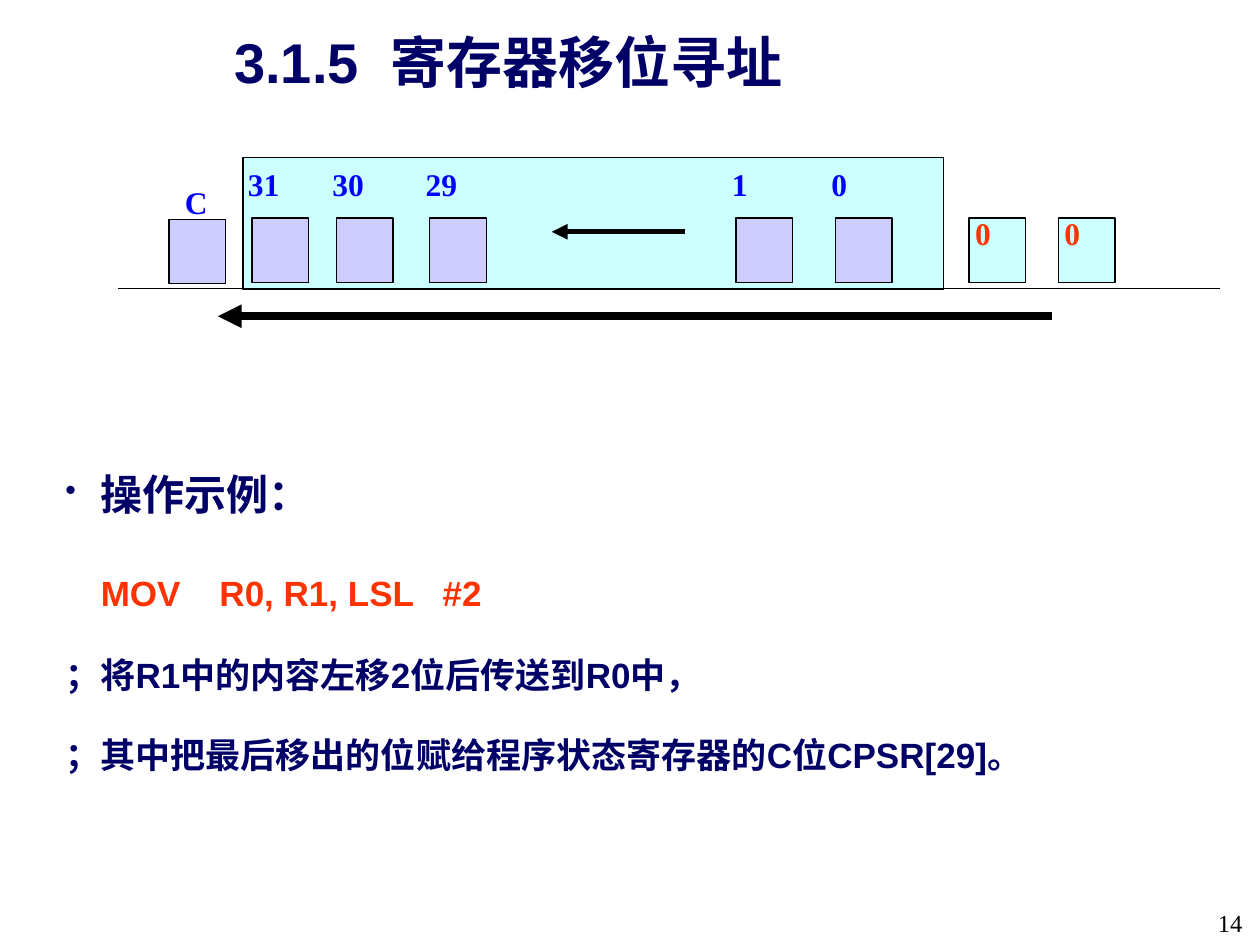
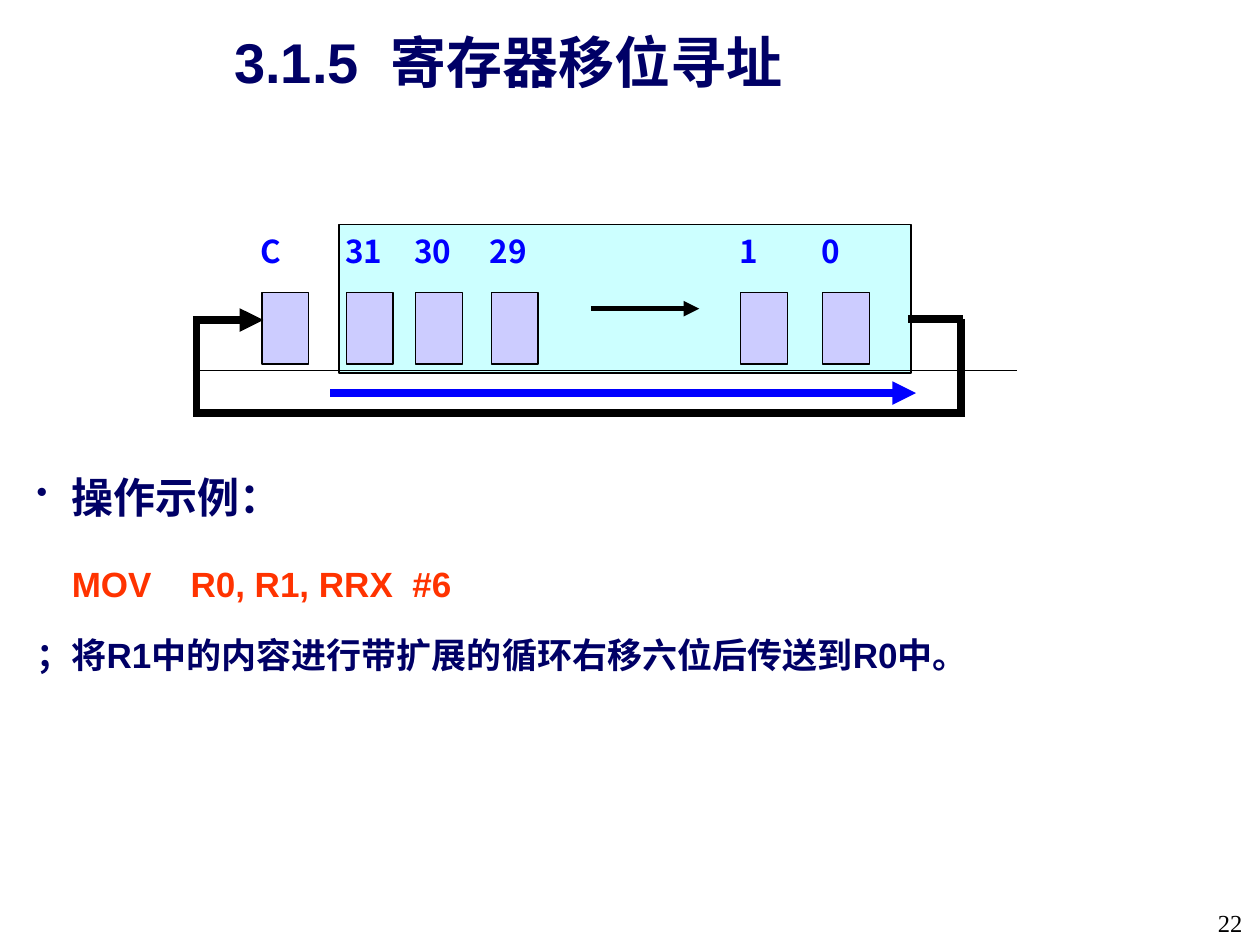
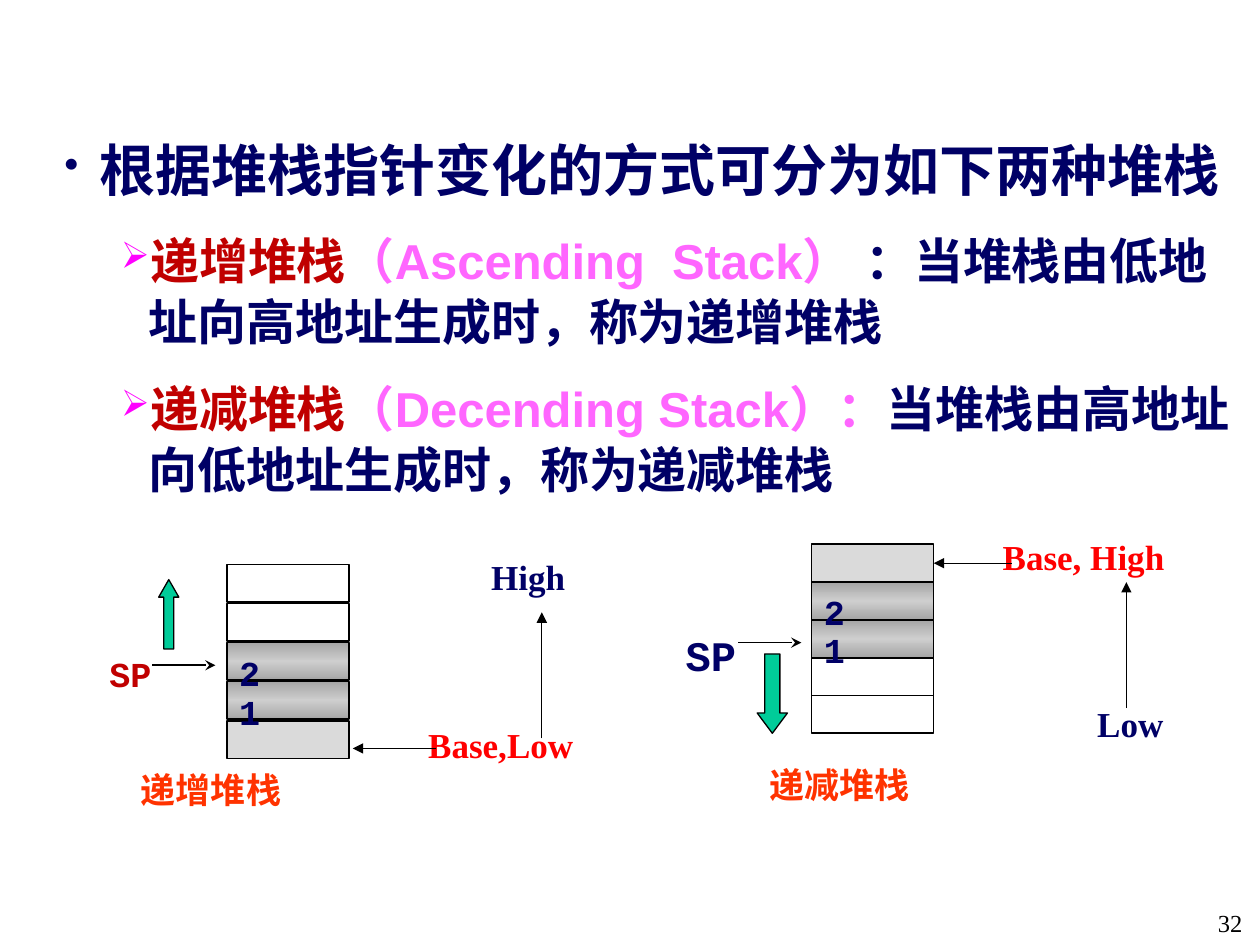
"""Build three slides on shifted-register addressing and stack growth."""
from copy import deepcopy
from dataclasses import dataclass

from lxml import etree
from pptx import Presentation
from pptx import util as u
from pptx.dml.color import RGBColor
from pptx.enum import shapes, text
from pptx.oxml.ns import qn


@dataclass(frozen=True)
class Theme:
    navy: str = "000066"
    blue: str = "0000FF"
    orange: str = "FF3300"
    red: str = "FF0000"
    dark_red: str = "C00000"
    pink: str = "FF66FF"
    magenta: str = "FF00FF"
    black: str = "000000"
    number: str = "010000"
    cyan: str = "CCFFFF"
    lilac: str = "CCCCFF"
    green: str = "00CC99"
    gray: str = "DADADA"
    metal: tuple = ("A5A5A5", "CECECE", "A5A5A5")
    sans: str = "Arial"
    serif: str = "Times New Roman"
    mono: str = "Courier New"
    cjk: str = "Noto Sans CJK SC"
    title: int = 32
    sub: int = 28
    head: int = 24
    body: int = 20
    bit: int = 18
    footer: int = 14
    thin: float = 0.75
    cell: float = 1
    medium: float = 3
    thick: float = 4.5


T = Theme()
TITLE = "3.1.5  寄存器移位寻址"
RECT = shapes.MSO_SHAPE.RECTANGLE
RIGHT = text.PP_ALIGN.RIGHT


def add_run(p, content, *, font=T.sans, size=T.body, color=T.navy, bold=True):
    r = p.add_run()
    r.text = content
    r.font.name, r.font.size, r.font.bold = font, u.Pt(size), bold
    r.font.color.rgb = RGBColor.from_string(color)
    etree.SubElement(r.font._element, qn("a:ea"), typeface=font)


def add_bullet(p, char, color=None):
    pPr = p._p.get_or_add_pPr()
    if color:
        clr = etree.SubElement(pPr, qn("a:buClr"))
        etree.SubElement(clr, qn("a:srgbClr"), val=color)
    etree.SubElement(pPr, qn("a:buSzPct"), val="75000")
    etree.SubElement(pPr, qn("a:buChar"), char=char)


class Deck:
    def __init__(self):
        self.prs = Presentation()
        self.prs.slide_width, self.prs.slide_height = u.Inches(10), u.Inches(7.5)
        self.s = None

    def slide(self, number, title=None):
        self.s = self.prs.slides.add_slide(self.prs.slide_layouts[5 if title else 6])
        if title:
            sp = self.s.shapes.title
            sp.left, sp.top, sp.width, sp.height = map(u.Inches, (0.12, 0.21, 7.83, 0.92))
            tf = self.frame(sp, 0.09)
            p = tf.paragraphs[0]
            p.alignment, p.line_spacing = text.PP_ALIGN.CENTER, 0.95
            add_run(p, title, size=T.title)
        self.label(str(number), 9.2, 7.16, 0.76, 0.34, align=RIGHT,
                   font=T.serif, size=T.footer, color=T.number, bold=False)

    def frame(self, sp, side):
        tf = sp.text_frame
        tf.word_wrap, tf.auto_size = True, text.MSO_AUTO_SIZE.NONE
        tf.vertical_anchor = text.MSO_ANCHOR.TOP
        tf.margin_left = tf.margin_right = u.Inches(side)
        tf.margin_top = tf.margin_bottom = u.Inches(0.05)
        return tf

    def box(self, x, y, w, h, side=0.1):
        return self.frame(self.s.shapes.add_textbox(*map(u.Inches, (x, y, w, h))), side)

    def label(self, content, x, y, w, h=0.43, align=None, **style):
        p = self.box(x, y, w, h).paragraphs[0]
        p.alignment = align
        add_run(p, content, **style)

    def body(self, x, y, w, h, paragraphs, spacing, after=0.0):
        tf = self.box(x, y, w, h, 0.09)
        for i, (level, bullet, runs) in enumerate(paragraphs):
            p = tf.add_paragraph() if i else tf.paragraphs[0]
            size = runs[0][1].get("size", T.body)
            p.level, p.line_spacing = level, spacing
            p.space_before = u.Pt(size / 2 if i else 0)
            p.space_after = u.Pt(size * after)
            left, hang = ((0.28, 0.28), (0.67, 0.22))[level]
            pPr = p._p.get_or_add_pPr()
            pPr.set("marL", str(u.Inches(left)))
            pPr.set("indent", str(-u.Inches(hang)))
            if bullet:
                add_bullet(p, *bullet)
            for content, style in runs:
                add_run(p, content, **style)

    def example(self, x, y, h, code, notes, spacing, after=0.0):
        rows = [(0, "•", [("操作示例：", {"size": T.head})]),
                (0, None, [("\t", {"size": T.head}), (code, {"color": T.orange})])]
        rows += [(0, None, [(note, {})]) for note in notes]
        self.body(x, y, 9, h, rows, spacing, after)

    def shape(self, kind, x, y, w, h, fill=None, width=T.thin, adjust=()):
        sp = self.s.shapes.add_shape(kind, *map(u.Inches, (x, y, w, h)))
        sp.shadow.inherit = False
        for i, value in enumerate(adjust):
            sp.adjustments[i] = value
        if fill is None:
            sp.fill.background()
        elif isinstance(fill, str):
            sp.fill.solid()
            sp.fill.fore_color.rgb = RGBColor.from_string(fill)
        else:
            self.gradient(sp, fill)
        sp.line.color.rgb = RGBColor.from_string(T.black)
        sp.line.width = u.Pt(width)
        return sp

    def gradient(self, sp, colors):
        sp.fill.gradient()
        sp.fill.gradient_angle = 90
        stops = sp._element.spPr.find(qn("a:gradFill")).find(qn("a:gsLst"))
        stops.insert(1, deepcopy(stops[0]))
        for i, (stop, color) in enumerate(zip(sp.fill.gradient_stops, colors)):
            stop.position = i / (len(colors) - 1)
            stop.color.rgb = RGBColor.from_string(color)

    def line(self, x1, y1, x2, y2, width=T.thin, color=T.black, arrow=None, target=None):
        c = self.s.shapes.add_connector(shapes.MSO_CONNECTOR.STRAIGHT,
                                        *map(u.Inches, (x1, y1, x2, y2)))
        if target:
            c.end_connect(*target)
        c.line.color.rgb = RGBColor.from_string(color)
        c.line.width = u.Pt(width)
        if arrow:
            etree.SubElement(c.line._get_or_add_ln(), qn("a:tailEnd"), type=arrow)
        etree.SubElement(c._element.spPr, qn("a:effectLst"))

    def bit(self, name, x, y, w, h, offset, fill=T.lilac, color=T.blue, font=T.serif):
        self.shape(RECT, x, y, w, h, fill)
        self.label(name, x + offset[0], y + offset[1], 0.8, 0.67,
                   font=font, size=T.bit, color=color)

    def stack(self, x, y, step, cells):
        made = [self.shape(RECT, x, y + i * step, 0.97, 0.3, fill, T.cell)
                for i, (fill, _) in enumerate(cells)]
        for i, (_, digit) in enumerate(cells):
            if digit:
                self.label(digit, x, y + i * step + 0.02, 1, 0.4, font=T.mono)
        return made


def left_shift(d):
    d.slide(14, TITLE)
    d.example(0.43, 3.51, 3.64, "MOV    R0, R1, LSL   #2",
              ["；将R1中的内容左移2位后传送到R0中，",
               "；其中把最后移出的位赋给程序状态寄存器的C位CPSR[29]。"], 1.4, 0.1)
    d.shape(RECT, 1.93, 1.25, 5.56, 1.05, T.cyan)
    d.bit("C", 1.34, 1.74, 0.45, 0.51, (0.03, -0.34))
    for name, x in (("31", 2), ("30", 2.67), ("29", 3.41), ("1", 5.84), ("0", 6.63)):
        d.bit(name, x, 1.73, 0.45, 0.51, (-0.13, -0.47))
    for x in (7.69, 8.4):
        d.bit("0", x, 1.73, 0.45, 0.51, (-0.05, -0.08), T.cyan, T.orange)
    d.line(0.94, 2.29, 9.68, 2.29)
    d.line(5.44, 1.84, 4.38, 1.84, T.medium, arrow="triangle")
    d.line(8.35, 2.51, 1.73, 2.51, T.thick, arrow="triangle")


def rotate_extended(d):
    d.slide(22, TITLE)
    d.example(0.2, 3.59, 3.38, "MOV    R0, R1, RRX  #6",
              ["；将R1中的内容进行带扩展的循环右移六位后传送到R0中。"], 1.25)
    d.shape(RECT, 2.69, 1.78, 4.54, 1.18, T.cyan)
    for name, x in (("C", 2.08), ("31", 2.75), ("30", 3.3), ("29", 3.9),
                    ("1", 5.88), ("0", 6.53)):
        d.bit(name, x, 2.32, 0.37, 0.57, (-0.11, -0.53), font=T.cjk)
    d.line(1.53, 2.94, 8.07, 2.94)
    d.line(4.69, 2.45, 5.55, 2.45, T.medium, arrow="triangle")
    d.line(2.62, 3.12, 7.27, 3.12, T.thick, T.blue, "triangle")
    for ends in ((7.21, 2.53, 7.64, 2.53), (7.63, 2.53, 7.63, 3.28),
                 (7.66, 3.28, 1.53, 3.28), (1.56, 3.27, 1.56, 2.54)):
        d.line(*ends, T.thick)
    d.line(1.53, 2.54, 2.09, 2.54, T.thick, arrow="triangle")


def stack_kinds(d):
    d.slide(32)
    arrow = ("➢", T.magenta)
    kinds = (("递增堆栈", "（Ascending  Stack）", " ：当堆栈由低地址向高地址生成时，称为递增堆栈"),
             ("递减堆栈", "（Decending Stack）：", "当堆栈由高地址向低地址生成时，称为递减堆栈"))
    rows = [(0, "•", [("根据堆栈指针变化的方式可分为如下两种堆栈", {"size": T.title})])]
    rows += [(1, arrow, [(part, {"size": T.sub, "color": color})
                         for part, color in zip(kind, (T.dark_red, T.pink, T.navy))])
             for kind in kinds]
    d.body(0.42, 1, 9.58, 5.92, rows, 1.05)

    empty, base = (None, None), (T.gray, None)
    used = [(T.metal, "2"), (T.metal, "1")]
    d.stack(1.8, 4.48, 0.31, [empty, empty, *used, base])
    cells = d.stack(6.44, 4.32, 0.3, [base, *used, empty, empty])

    d.label("SP", 0.55, 5.13, 0.75, align=RIGHT, font=T.mono, color=T.dark_red)
    d.label("SP", 5.19, 4.95, 0.75, align=RIGHT, font=T.mono, size=T.head)
    for x, y in ((1.21, 5.28), (5.86, 5.1)):
        d.line(x, y, x + 0.5, y, T.cell, arrow="stealth")
    for name, x, y, w, color in (("Base,Low", 3.3, 5.69, 1.42, T.red),
                                 ("High", 3.8, 4.36, 0.92, T.navy),
                                 ("Base, High", 7.86, 4.2, 1.5, T.red),
                                 ("Low", 8.61, 5.53, 0.75, T.navy)):
        d.label(name, x, y, w, font=T.serif, color=color)
    d.line(3.46, 5.94, 2.8, 5.94, arrow="triangle")
    d.line(8.03, 4.47, 7.41, 4.47, arrow="triangle", target=(cells[0], 3))
    for x, y in ((4.3, 5.86), (8.94, 5.62)):
        d.line(x, y, x, y - 1, arrow="triangle")
    d.label("递增堆栈", 1.02, 6.05, 2.67, color=T.orange)
    d.label("递减堆栈", 6.01, 6.01, 1.83, color=T.orange)
    d.shape(shapes.MSO_SHAPE.UP_ARROW, 1.26, 4.6, 0.16, 0.55, T.green, adjust=(0.5, 0.87))
    d.shape(shapes.MSO_SHAPE.DOWN_ARROW, 6.01, 5.19, 0.24, 0.63, T.green, adjust=(0.5, 0.67))


def main():
    d = Deck()
    left_shift(d)
    rotate_extended(d)
    stack_kinds(d)
    d.prs.save("out.pptx")


if __name__ == "__main__":
    main()
